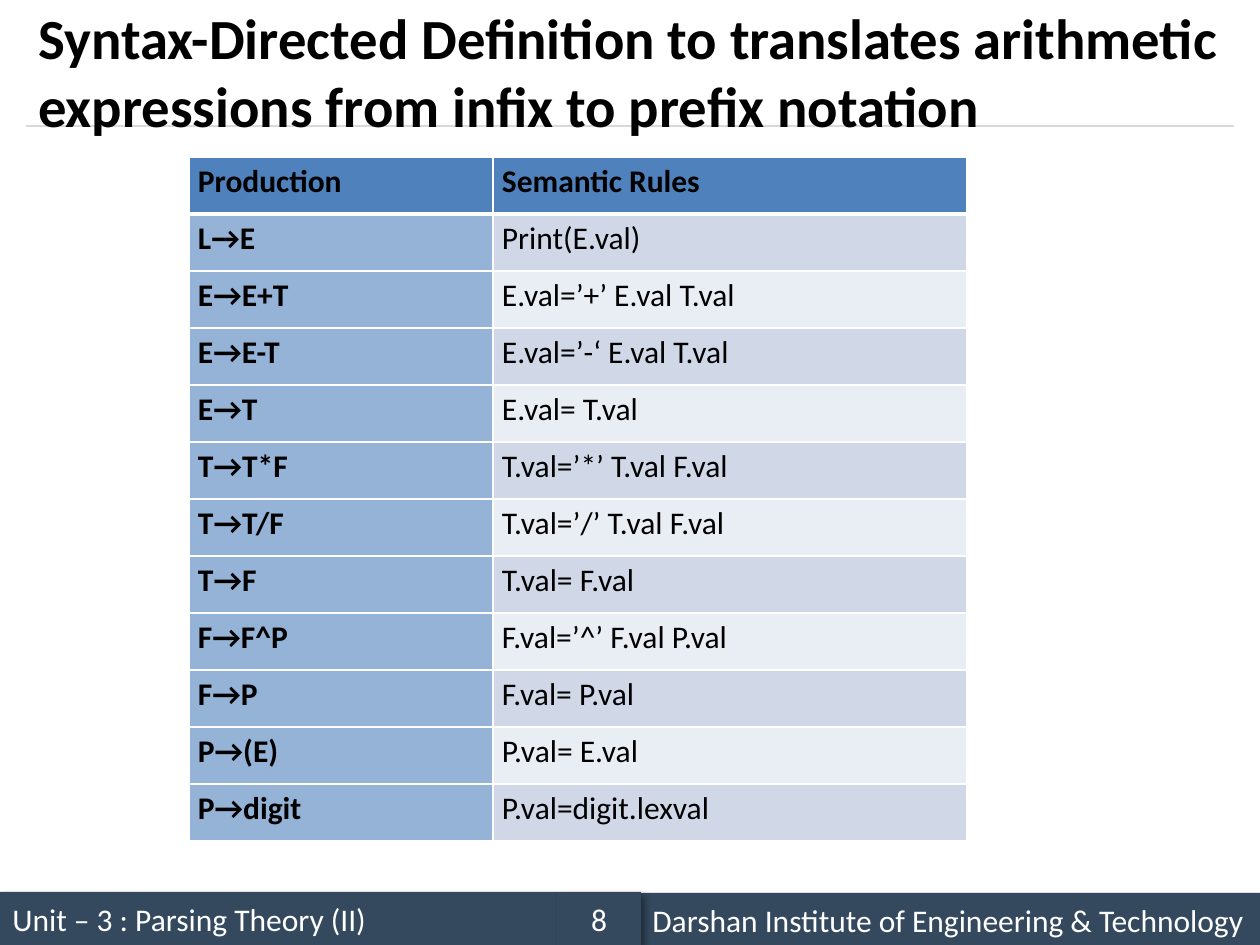
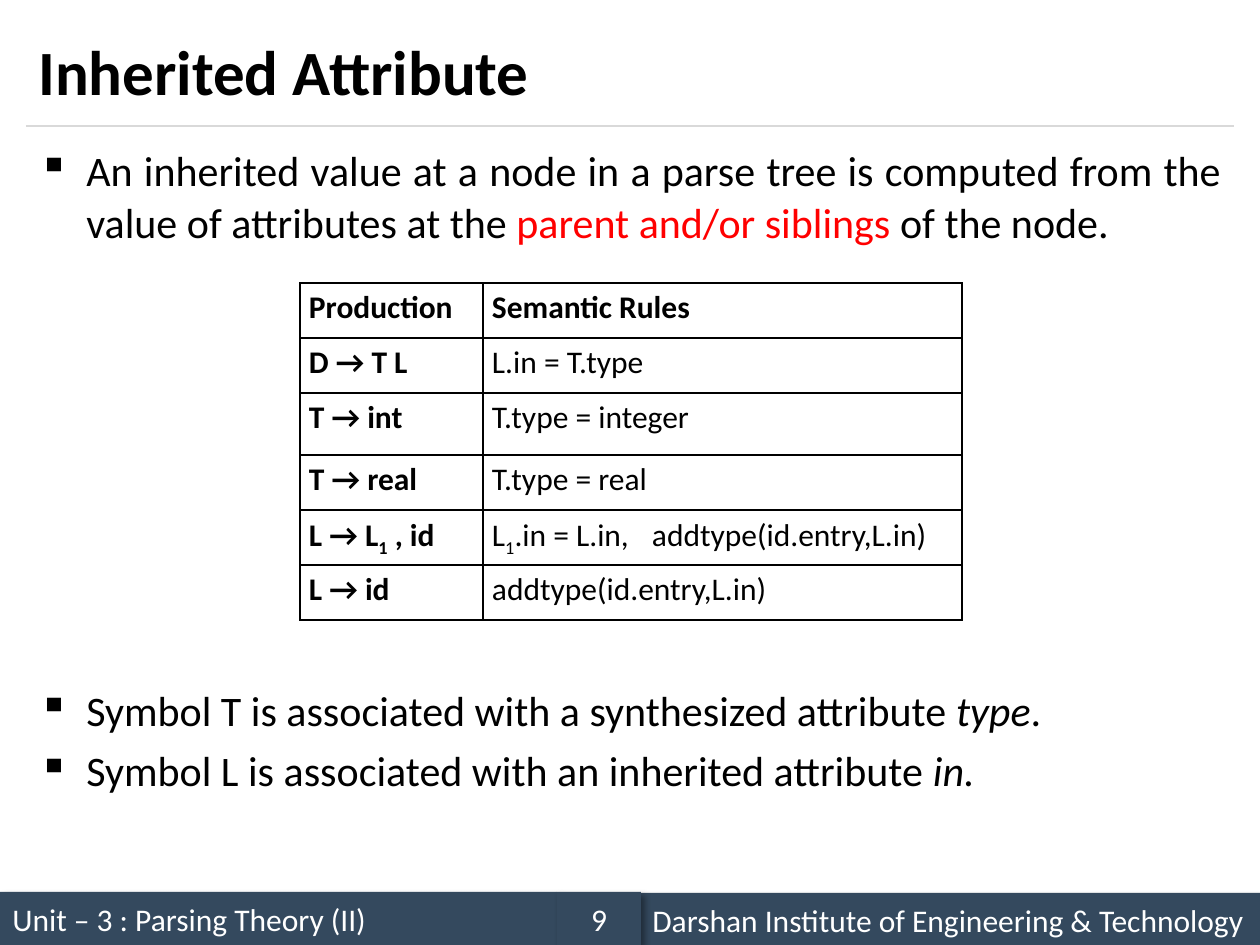
from typing import NamedTuple, Sequence

from lxml import etree
from pptx import Presentation, util as u
from pptx.dml.color import RGBColor
from pptx.enum import shapes, text
from pptx.oxml import ns

DPI = 126
FACE = "Calibri"
BLACK = RGBColor(0, 0, 0)
WHITE = RGBColor(255, 255, 255)
RED = RGBColor(255, 0, 0)
NAVY = RGBColor(0x34, 0x49, 0x5E)
GREY = RGBColor(0xD9, 0xD9, 0xD9)
HEAD = RGBColor(0x4F, 0x81, 0xBD)
SIDE = RGBColor(0x95, 0xB3, 0xD7)
BANDS = (RGBColor(0xD0, 0xD8, 0xE8), RGBColor(0xE9, 0xED, 0xF4))
ALIGN = text.PP_ALIGN
MID = text.MSO_ANCHOR.MIDDLE


class Box(NamedTuple):
    left: int
    top: int
    width: int
    height: int


class Run(NamedTuple):
    text: str
    tint: RGBColor = BLACK
    slant: bool = False
    sub: bool = False


class Bar(NamedTuple):
    box: Box
    text: str
    align: ALIGN


class Grid(NamedTuple):
    left: int
    top: int
    cols: Sequence[int]
    rows: Sequence[int]
    cells: Sequence[tuple]
    edge: RGBColor
    filled: bool = False


TITLE = Box(26, 15, 1208, 111)
INTRO = Box(26, 136, 1208, 130)
NOTES = Box(26, 676, 1208, 150)
RULE_Y = 126
TAB = 160

UNIT = Bar(Box(0, 892, 557, 53), "Unit – 3 : Parsing Theory (II)", ALIGN.LEFT)
SCHOOL = Bar(Box(640, 893, 620, 53),
             "Darshan Institute of Engineering & Technology", ALIGN.LEFT)
PAGE = Box(557, 892, 84, 53)

PREFIX = Grid(189, 157, (304, 474), (57,) * 12, (
    ("Production", "Semantic Rules"),
    ("L→E", "Print(E.val)"),
    ("E→E+T", "E.val=’+’ E.val T.val"),
    ("E→E-T", "E.val=’-‘ E.val T.val"),
    ("E→T", "E.val= T.val"),
    ("T→T*F", "T.val=’*’ T.val F.val"),
    ("T→T/F", "T.val=’/’ T.val F.val"),
    ("T→F", "T.val= F.val"),
    ("F→F^P", "F.val=’^’ F.val P.val"),
    ("F→P", "F.val= P.val"),
    ("P→(E)", "P.val= E.val"),
    ("P→digit", "P.val=digit.lexval"),
), WHITE, True)

ONE = Run("1", sub=True)
INHERIT = Grid(300, 283, (183, 479), (55, 55, 62, 55, 55, 55), (
    ("Production", "Semantic Rules"),
    ("D → T L", "L.in = T.type"),
    ("T → int", "T.type = integer"),
    ("T → real", "T.type = real"),
    ((Run("L → L"), ONE, Run(" , id")),
     (Run("L"), ONE, Run(".in = L.in,\taddtype(id.entry,L.in)"))),
    ("L → id", "addtype(id.entry,L.in)"),
), BLACK)


def px(size: int) -> u.Emu:
    return u.Emu(round(size * 914400 / DPI))


def place(box: Box) -> list:
    return [px(side) for side in box]


def node(root, tag: str, **attrs):
    child = etree.SubElement(root, ns.qn(tag))
    for key, value in attrs.items():
        child.set(key, str(value))
    return child


def write(para, runs, size: float, bold=False, tint=None) -> None:
    """Fill a paragraph from a string or a sequence of runs."""
    if isinstance(runs, str):
        runs = (Run(runs),)
    for part in runs:
        run = para.add_run()
        run.text = part.text
        font = run.font
        font.name, font.size = FACE, u.Pt(size)
        font.bold, font.italic = bold, part.slant
        font.color.rgb = tint or part.tint
        if part.sub:
            run._r.get_or_add_rPr().set("baseline", "-25000")


def draw_bar(slide, bar: Bar) -> None:
    shape = slide.shapes.add_shape(shapes.MSO_SHAPE.RECTANGLE, *place(bar.box))
    shape.fill.solid()
    shape.fill.fore_color.rgb = NAVY
    shape.line.fill.background()
    glow = node(node(shape._element.spPr, "a:effectLst"), "a:outerShdw",
                blurRad=u.Pt(4), dist=u.Pt(3), dir=45 * 60000, algn="tl",
                rotWithShape=0)
    node(node(glow, "a:srgbClr", val=BLACK), "a:alpha", val=40000)
    frame = shape.text_frame
    frame.word_wrap, frame.vertical_anchor = True, MID
    para = frame.paragraphs[0]
    para.alignment = bar.align
    write(para, bar.text, 18, tint=WHITE)


def start(deck, title: str, size: float, number: int):
    """Add a slide with its footer, rule and title."""
    slide = deck.slides.add_slide(deck.slide_layouts[6])
    draw_bar(slide, UNIT)
    rule = slide.shapes.add_connector(
        shapes.MSO_CONNECTOR.STRAIGHT, px(TITLE.left), px(RULE_Y),
        px(TITLE.left + TITLE.width), px(RULE_Y))
    rule.line.color.rgb, rule.line.width = GREY, u.Pt(0.75)
    node(rule._element.spPr, "a:effectLst")
    draw_bar(slide, SCHOOL)
    draw_bar(slide, Bar(PAGE, str(number), ALIGN.CENTER))
    frame = slide.shapes.add_textbox(*place(TITLE)).text_frame
    frame.word_wrap, frame.vertical_anchor = True, MID
    write(frame.paragraphs[0], title, size, bold=True)
    return slide


def draw_list(slide, box: Box, items: Sequence[tuple]) -> None:
    frame = slide.shapes.add_textbox(*place(box)).text_frame
    frame.word_wrap = True
    for i, runs in enumerate(items):
        para = frame.add_paragraph() if i else frame.paragraphs[0]
        props = para._p.get_or_add_pPr()
        props.set("marL", str(px(48)))
        props.set("indent", str(-px(48)))
        node(props, "a:buChar", char="▪")
        para.alignment, para.line_spacing = ALIGN.JUSTIFY, 1.04
        if i:
            para.space_before = u.Pt(4.8)
        write(para, runs, 24)


def edge_cell(cell, tint: RGBColor, base: int) -> None:
    """Draw the four cell borders, the bottom one base points wide."""
    props = cell._tc.get_or_add_tcPr()
    for side, width in zip("LRTB", (1, 1, 1, base)):
        line = node(props, f"a:ln{side}", w=u.Pt(width))
        node(node(line, "a:solidFill"), "a:srgbClr", val=tint)


def draw_grid(slide, grid: Grid) -> None:
    box = Box(grid.left, grid.top, sum(grid.cols), sum(grid.rows))
    table = slide.shapes.add_table(
        len(grid.rows), len(grid.cols), *place(box)).table
    table.first_row = table.horz_banding = False
    for col, width in zip(table.columns, grid.cols):
        col.width = px(width)
    for row, height in zip(table.rows, grid.rows):
        row.height = px(height)
    for r, line in enumerate(grid.cells):
        for c, runs in enumerate(line):
            cell = table.cell(r, c)
            cell.margin_left = cell.margin_right = px(9)
            cell.margin_top = cell.margin_bottom = 0
            edge_cell(cell, grid.edge, 3 if grid.filled and r == 0 else 1)
            if grid.filled:
                cell.fill.solid()
                cell.fill.fore_color.rgb = (
                    HEAD if r == 0 else SIDE if c == 0 else BANDS[(r - 1) % 2])
            else:
                cell.fill.background()
            para = cell.text_frame.paragraphs[0]
            if any("\t" in part for part in (run.text for run in runs
                                             if isinstance(run, Run))):
                tabs = node(para._p.get_or_add_pPr(), "a:tabLst")
                node(tabs, "a:tab", pos=px(TAB), algn="l")
            para.alignment, para.line_spacing = ALIGN.JUSTIFY, 1.15
            write(para, runs, 18, bold=r == 0 or c == 0)


def main() -> None:
    deck = Presentation()
    deck.slide_width, deck.slide_height = px(1260), px(945)

    slide = start(deck, "Syntax-Directed Definition to translates arithmetic "
                  "expressions from infix to prefix notation", 32.4, 8)
    draw_grid(slide, PREFIX)

    slide = start(deck, "Inherited Attribute", 36, 9)
    draw_list(slide, INTRO, [(
        Run("An inherited value at a node in a parse tree is computed from "
            "the value of attributes at the "),
        Run("parent and/or siblings ", RED), Run("of the node."))])
    draw_list(slide, NOTES, [
        (Run("Symbol T is associated with a synthesized attribute "),
         Run("type", slant=True), Run(".")),
        (Run("Symbol L is associated with an inherited attribute "),
         Run("in.", slant=True))])
    draw_grid(slide, INHERIT)
    deck.save("out.pptx")


if __name__ == "__main__":
    main()
